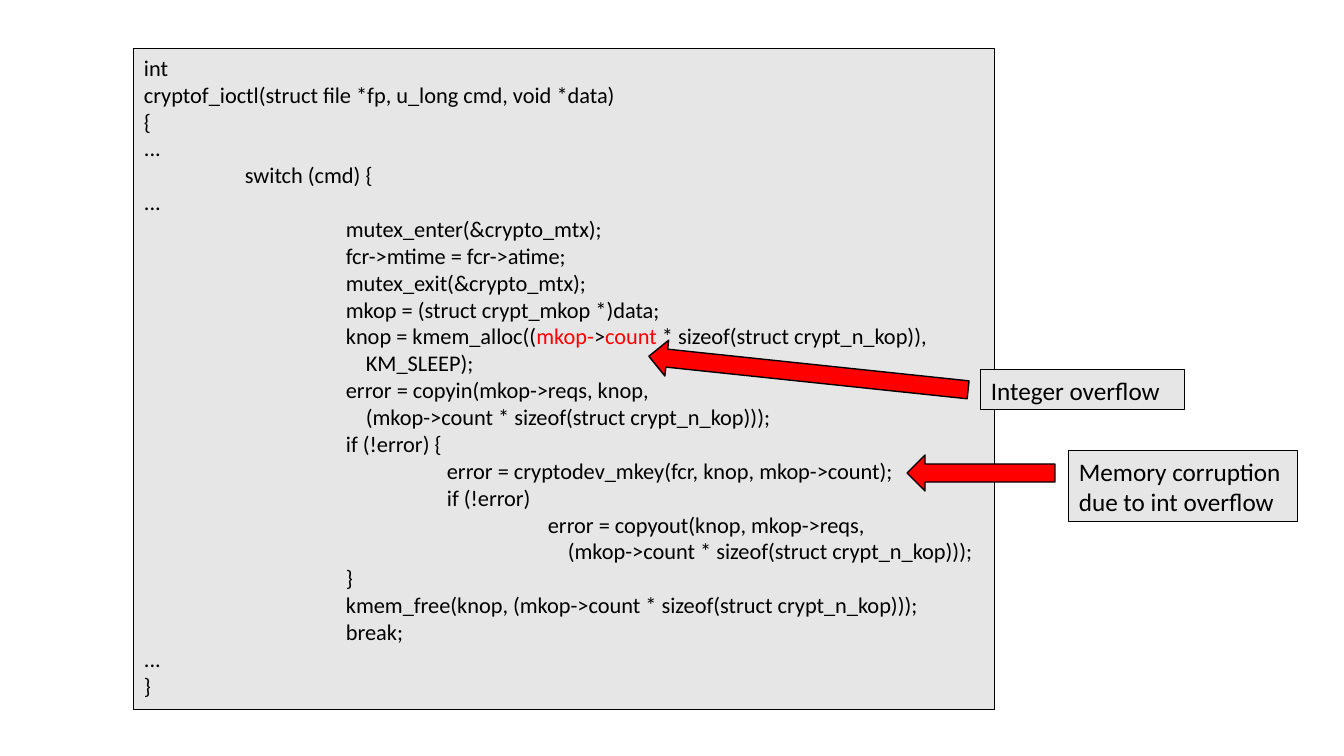
from pptx import Presentation
from pptx import util as u
from pptx.dml.color import RGBColor
from pptx.enum import shapes, text

PX = u.Inches(1) / 100.8
BLACK = RGBColor(0x00, 0x00, 0x00)
RED = RGBColor(0xFF, 0x00, 0x00)
GREY = RGBColor(0xE7, 0xE6, 0xE6)
FONT = "Calibri"
TAB, CONTINUATION = 101, 20  # px

# (indent level, continues the line above, text or list of (text, colour))
CODE = [
    (0, False, "int"),
    (0, False, "cryptof_ioctl(struct file *fp, u_long cmd, void *data)"),
    (0, False, "{"),
    (0, False, "..."),
    (1, False, "switch (cmd) {"),
    (0, False, "..."),
    (2, False, "mutex_enter(&crypto_mtx);"),
    (2, False, "fcr->mtime = fcr->atime;"),
    (2, False, "mutex_exit(&crypto_mtx);"),
    (2, False, "mkop = (struct crypt_mkop *)data;"),
    (2, False, [("knop = kmem_alloc((", BLACK), ("mkop-", RED), (">", BLACK),
                ("count", RED), (" * sizeof(struct crypt_n_kop)),", BLACK)]),
    (2, True, "KM_SLEEP);"),
    (2, False, "error = copyin(mkop->reqs, knop,"),
    (2, True, "(mkop->count * sizeof(struct crypt_n_kop)));"),
    (2, False, "if (!error) {"),
    (3, False, "error = cryptodev_mkey(fcr, knop, mkop->count);"),
    (3, False, "if (!error)"),
    (4, False, "error = copyout(knop, mkop->reqs,"),
    (4, True, "(mkop->count * sizeof(struct crypt_n_kop)));"),
    (2, False, "}"),
    (2, False, "kmem_free(knop, (mkop->count * sizeof(struct crypt_n_kop)));"),
    (2, False, "break;"),
    (0, False, "..."),
    (0, False, "}"),
]
CODE_BOX = (134, 49, 861, 661)
# (note, note box, arrow box, arrow rotation)
CALLOUTS = [
    ("Integer overflow", (981, 370, 204, 40), (648, 355, 321, 36), 186),
    ("Memory corruption due to int overflow", (1069, 451, 229, 71),
     (907, 455, 148, 36), 180),
]


def px(n):
    return u.Emu(round(n * PX))


def add_shape(s, kind, box, fill, line_pt):
    sp = s.shapes.add_shape(kind, *map(px, box))
    sp.shadow.inherit = False
    sp.fill.solid()
    sp.fill.fore_color.rgb = fill
    sp.line.color.rgb = BLACK
    sp.line.width = u.Pt(line_pt)
    return sp


def add_panel(s, box, lines, size):
    """Grey box with one left-aligned paragraph per code line."""
    sp = add_shape(s, shapes.MSO_SHAPE.RECTANGLE, box, GREY, 0.75)
    tf = sp.text_frame
    tf.word_wrap = True
    tf.auto_size = text.MSO_AUTO_SIZE.SHAPE_TO_FIT_TEXT
    tf.vertical_anchor = text.MSO_ANCHOR.TOP
    for i, (level, continues, content) in enumerate(lines):
        p = tf.add_paragraph() if i else tf.paragraphs[0]
        p.alignment = text.PP_ALIGN.LEFT
        p.font.name, p.font.size = FONT, u.Pt(size)
        p.font.color.rgb = BLACK
        indent = level * TAB + continues * CONTINUATION
        p._p.get_or_add_pPr().set("marL", str(px(indent)))
        runs = [(content, BLACK)] if isinstance(content, str) else content
        for words, color in runs:
            r = p.add_run()
            r.text = words
            r.font.color.rgb = color


def main():
    prs = Presentation()
    prs.slide_width, prs.slide_height = px(1344), px(756)
    s = prs.slides.add_slide(prs.slide_layouts[6])
    add_panel(s, CODE_BOX, CODE, 16)
    for note, note_box, arrow_box, rotation in CALLOUTS:
        add_panel(s, note_box, [(0, False, note)], 18)
        arrow = add_shape(s, shapes.MSO_SHAPE.RIGHT_ARROW, arrow_box, RED, 1)
        arrow.rotation = rotation
    prs.save("out.pptx")


if __name__ == "__main__":
    main()
